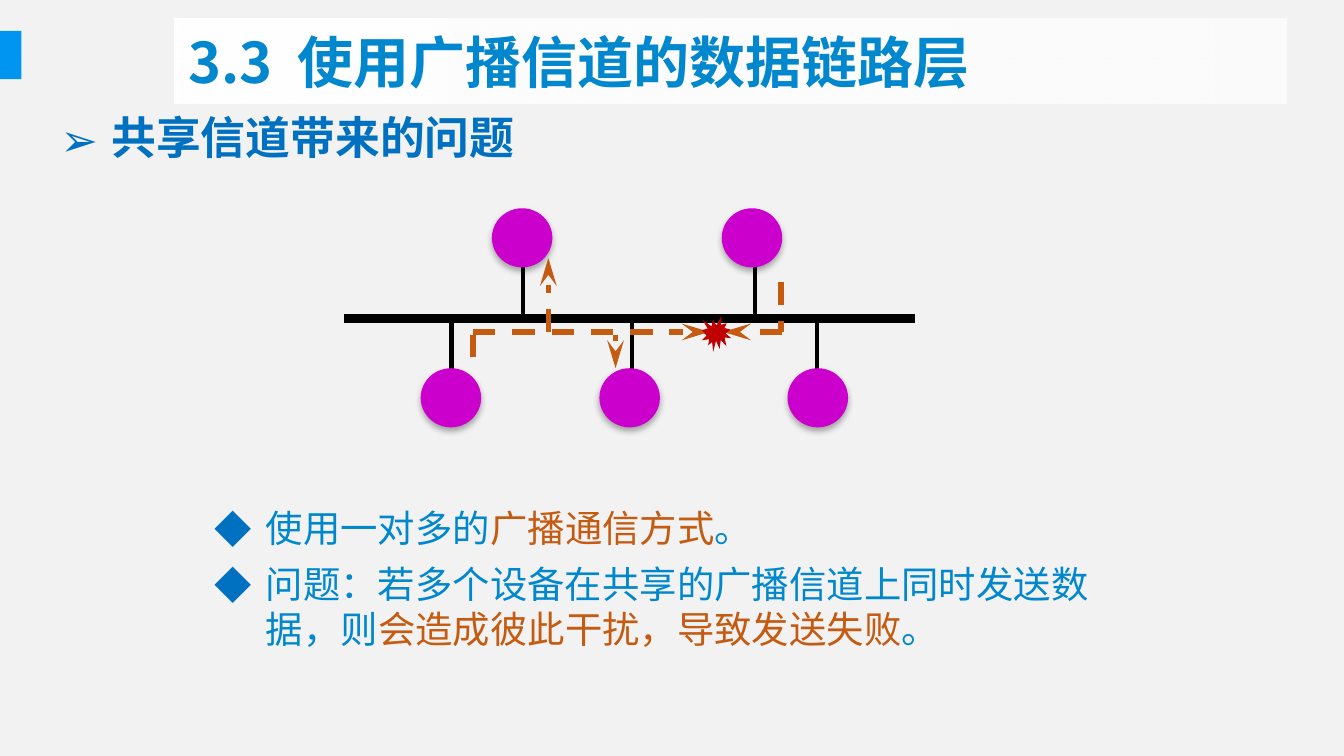
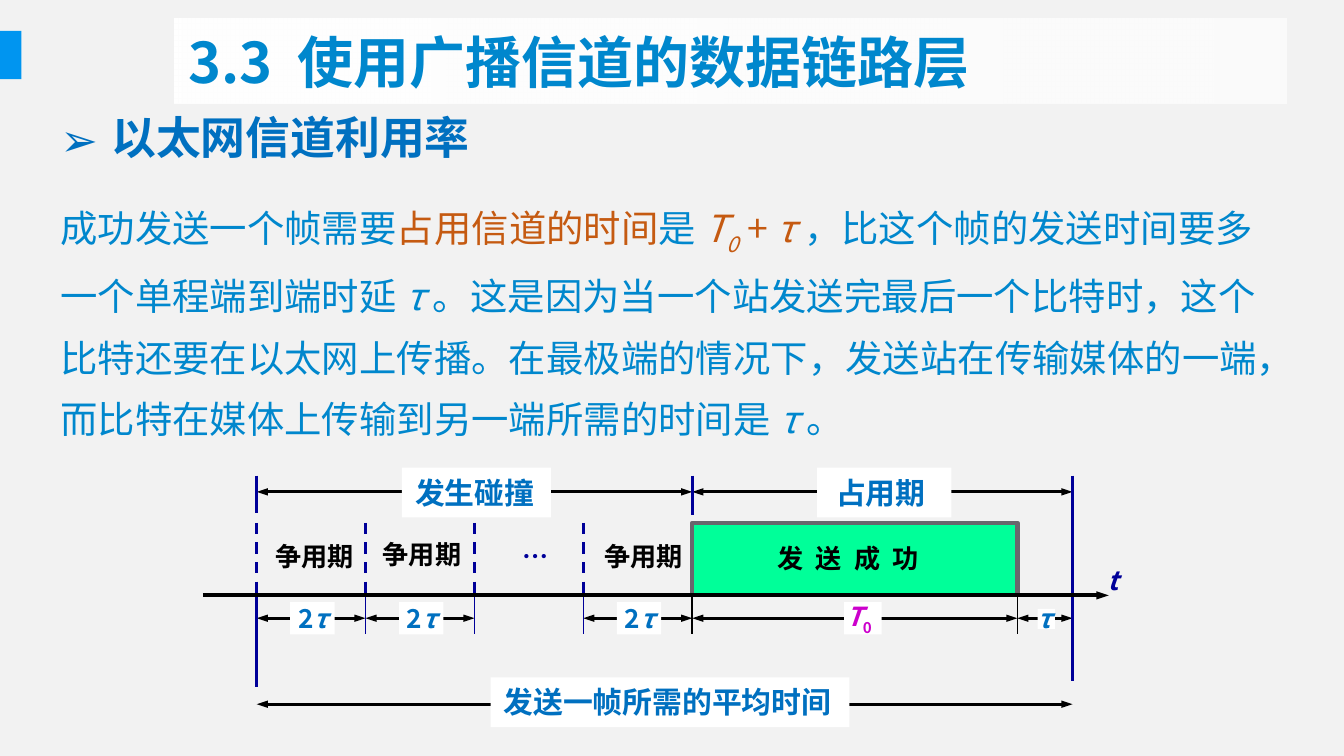
from typing import NamedTuple, Optional

from lxml.etree import SubElement
from pptx import Presentation
from pptx.dml.color import RGBColor
from pptx.enum.dml import MSO_LINE
from pptx.enum.lang import MSO_LANGUAGE_ID
from pptx.enum.shapes import MSO_CONNECTOR, MSO_SHAPE
from pptx.enum.text import MSO_ANCHOR, MSO_AUTO_SIZE, PP_ALIGN
from pptx.oxml.ns import qn
from pptx.util import Emu, Pt

PX = 9144  # 100 px to the inch
WIDE = 1000 * PX
FONT = "Noto Sans CJK SC"
HUES = {
    "back": "F2F2F2", "bar": "0095F0", "text": "0087CD", "head": "0070C0",
    "warm": "C55A11", "node": "CC00CC", "burst": "C00000", "navy": "000099",
    "sent": "00FF99", "edge": "69676D", "black": "000000", "white": "FFFFFF",
}
TIPS = {"stealth": ("med", "lg"), "triangle": ("sm", "med")}  # width, length


class Box(NamedTuple):
    x: int
    y: int
    w: int
    h: int


class Run(NamedTuple):
    text: str
    hue: str = "text"
    ital: bool = False
    base: int = 0
    track: int = 0


class Style(NamedTuple):
    size: int
    bold: bool = True
    wrap: bool = True
    fill: Optional[str] = None
    bullet: Optional[str] = None
    lead: Optional[int] = None
    gap: int = 0
    align: PP_ALIGN = PP_ALIGN.LEFT


class Wire(NamedTuple):
    x1: int
    y1: int
    x2: int
    y2: int
    hue: str = "black"
    width: float = 1.5
    dash: bool = False
    head: Optional[str] = None
    tail: Optional[str] = None


class Label(NamedTuple):
    box: Box
    runs: list[Run]
    style: Style


def color(name: str) -> RGBColor:
    return RGBColor.from_string(HUES[name])


def place(box: Box) -> list[Emu]:
    return [Emu(n * PX) for n in box]


# Text
def write(para, runs: list[Run], style: Style) -> None:
    para.alignment = style.align
    if style.bullet:
        prop = para._p.get_or_add_pPr()
        prop.set("marL", str(38 * PX))
        prop.set("indent", str(-38 * PX))
        tint = SubElement(prop, qn("a:buClr"))
        SubElement(tint, qn("a:srgbClr")).set("val", HUES["head"])
        SubElement(prop, qn("a:buFont")).set("typeface", FONT)
        SubElement(prop, qn("a:buChar")).set("char", style.bullet)
    if style.lead:
        para.line_spacing = Pt(style.lead)
    for part in runs:
        run = para.add_run()
        run.text = part.text
        font = run.font
        font.size, font.bold, font.italic = Pt(style.size), style.bold, part.ital
        font.color.rgb = color(part.hue)
        font.language_id = MSO_LANGUAGE_ID.SIMPLIFIED_CHINESE
        font.name = FONT
        prop = run._r.get_or_add_rPr()
        east = SubElement(prop, qn("a:ea"))
        east.set("typeface", FONT)
        prop.find(qn("a:latin")).addnext(east)
        if part.base:
            prop.set("baseline", str(part.base * 1000))
        if part.track:
            prop.set("spc", str(part.track))


def add_text(slide, box: Box, paras: list[list[Run]], style: Style) -> None:
    shape = slide.shapes.add_textbox(*place(box))
    if style.fill:
        shape.fill.solid()
        shape.fill.fore_color.rgb = color(style.fill)
    frame = shape.text_frame
    frame.word_wrap = style.wrap
    frame.auto_size = MSO_AUTO_SIZE.SHAPE_TO_FIT_TEXT
    for i, runs in enumerate(paras):
        para = frame.add_paragraph() if i else frame.paragraphs[0]
        write(para, runs, style)
        if i and style.gap:
            para.space_before = Pt(style.gap)


# Shapes and lines
def add_form(slide, kind: MSO_SHAPE, box: Box, hue: str):
    shape = slide.shapes.add_shape(kind, *place(box))
    shape.shadow.inherit = False
    shape.fill.solid()
    shape.fill.fore_color.rgb = color(hue)
    shape.line.fill.background()
    return shape


def add_node(slide, x: int, y: int) -> None:
    node = add_form(slide, MSO_SHAPE.OVAL, Box(x, y, 45, 44), "node")
    glow = SubElement(node._element.spPr.find(qn("a:effectLst")), qn("a:outerShdw"))
    for key, val in {"blurRad": 44450, "dist": 27940, "dir": 5400000}.items():
        glow.set(key, str(val))
    tint = SubElement(glow, qn("a:srgbClr"))
    tint.set("val", HUES["black"])
    SubElement(tint, qn("a:alpha")).set("val", "32000")


def add_wire(slide, wire: Wire) -> None:
    ends = [Emu(n * PX) for n in wire[:4]]
    link = slide.shapes.add_connector(MSO_CONNECTOR.STRAIGHT, *ends)
    link.line.color.rgb = color(wire.hue)
    link.line.width = Pt(wire.width)
    if wire.dash:
        link.line.dash_style = MSO_LINE.DASH
    prop = link._element.spPr
    for tag, kind in (("a:headEnd", wire.head), ("a:tailEnd", wire.tail)):
        if kind:
            tip = SubElement(prop.find(qn("a:ln")), qn(tag))
            for key, val in zip(("type", "w", "len"), (kind, *TIPS[kind])):
                tip.set(key, val)
    SubElement(prop, qn("a:effectLst"))


def add_span(slide, x1: int, x2: int, y: int) -> None:
    add_wire(slide, Wire(x1, y, x2, y, head="triangle", tail="triangle"))


# Shared frame of both slides
def add_page(deck, topic: str):
    slide = deck.slides.add_slide(deck.slide_layouts[5])
    slide.background.fill.solid()
    slide.background.fill.fore_color.rgb = color("back")
    add_form(slide, MSO_SHAPE.RECTANGLE, Box(-1, 23, 17, 36), "bar")

    title = slide.shapes.title
    title.left, title.top, title.width, title.height = place(Box(130, 14, 827, 63))
    title.fill.gradient()
    title.fill.gradient_angle = 0
    for stop in title.fill.gradient_stops:
        stop.color.rgb = color("white")
    last = title._element.spPr.findall(".//" + qn("a:srgbClr"))[-1]
    SubElement(last, qn("a:alpha")).set("val", "67000")
    title.text_frame.vertical_anchor = MSO_ANCHOR.MIDDLE
    name = [Run("3.3"), Run(" ", track=670), Run("使用广播信道的数据链路层")]
    write(title.text_frame.paragraphs[0], name, Style(30))

    add_text(slide, Box(35, 77, 921, 50), [[Run(topic, "head")]],
             Style(24, bullet="➢"))
    return slide


def draw_share(deck) -> None:
    slide = add_page(deck, "共享信道带来的问题")

    # Bus with its stations
    add_wire(slide, Wire(256, 237, 681, 237, width=4.5))
    for x, top in ((389, 193), (562, 193), (470, 238), (608, 238), (336, 238)):
        add_wire(slide, Wire(x, top, x, top + 45, width=2.25))
    for x, y in ((366, 155), (537, 155), (313, 274), (446, 274), (586, 274)):
        add_node(slide, x, y)

    # Points below the bus
    points = [
        [Run("使用一对多的"), Run("广播通信方式", "warm"), Run("。")],
        [Run("问题：若多个设备在共享的广播信道上同时发送数据，则"),
         Run("会造成彼此干扰，导致发送失败", "warm"), Run("。")],
    ]
    add_text(slide, Box(150, 371, 693, 119), points,
             Style(20, bold=False, bullet="◆", lead=24, gap=6))

    # Signals and their collision
    for x1, y1, x2, y2, tail in (
        (582, 247, 538, 247, "stealth"), (581, 210, 581, 247, None),
        (352, 247, 528, 247, "stealth"), (408, 247, 408, 192, "stealth"),
        (458, 249, 458, 274, "stealth"), (352, 249, 352, 274, None),
    ):
        add_wire(slide, Wire(x1, y1, x2, y2, "warm", 3, True, tail=tail))
    add_form(slide, MSO_SHAPE.EXPLOSION1, Box(522, 235, 22, 27), "burst")


def draw_usage(deck) -> None:
    slide = add_page(deck, "以太网信道利用率")
    tau = Run("τ ", ital=True)
    body = [
        Run("成功发送一个帧需要"), Run("占用信道的时间", "warm"), Run("是 "),
        Run("T", "warm", True), Run("0", "warm", True, -25), Run(" + ", "warm"),
        Run("τ ", "warm", True),
        Run("，比这个帧的发送时间要多一个单程端到端时延 "), tau,
        Run("。这是因为当一个站发送完最后一个比特时，这个比特还要在以太网上传播。"
            "在最极端的情况下，发送站在传输媒体的一端，"
            "而比特在媒体上传输到另一端所需的时间是 "),
        Run("τ", ital=True), Run(" 。"),
    ]
    add_text(slide, Box(35, 140, 921, 190), [body], Style(20, bold=False, lead=33))

    # Time marks: four slots, then the frame, then the delay
    step, axis = 81, 443
    marks = [191 + step * i for i in range(5)]
    first, sent = marks[0], marks[-1]
    done, last = 757, 798
    used = [marks[0], marks[1], marks[3]]

    # Spans
    add_span(slide, first, last, 524)
    add_span(slide, first, sent, 366)
    add_span(slide, sent, last, 366)
    for x in used:
        add_span(slide, x, x + step, 460)
    add_span(slide, sent, done, 460)
    add_span(slide, done, last, 460)

    # Frame sent
    pen = slide.shapes.build_freeform(sent, axis, scale=PX)
    pen.add_line_segments([(sent, 389), (done, 389), (done, axis)], close=False)
    frame = pen.convert_to_shape()
    frame.shadow.inherit = False
    frame.fill.solid()
    frame.fill.fore_color.rgb = color("sent")
    frame.line.color.rgb = color("edge")
    frame.line.width = Pt(2.25)

    # Upright marks
    for x in marks[:4]:
        add_wire(slide, Wire(x, 389, x, axis, "navy", dash=True))
    for x in marks[1:] + [done]:
        hue = "navy" if x < sent else "black"
        add_wire(slide, Wire(x, axis, x, 472, hue, 0.75))
    for x, top, end in ((first, 354, 382), (first, 441, 511), (sent, 354, 383),
                        (last, 354, axis), (last, axis, 507)):
        add_wire(slide, Wire(x, top, x, end, "navy"))
    add_wire(slide, Wire(151, axis, 825, axis, width=2.25, tail="triangle"))

    # White patches behind the symbols
    patches = [Box(x + 25, 448, 33, 24) for x in used]
    for box in patches + [Box(628, 448, 28, 24), Box(772, 453, 13, 15)]:
        add_form(slide, MSO_SHAPE.RECTANGLE, box, "white")

    # Labels
    small, plate = Style(14, wrap=False), Style(16, fill="white")
    slot = [Run("争用期", "black")]
    twice = [Run("2", "head"), Run("τ", "head", True)]
    labels = [
        Label(Box(569, 399, 139, 34), [Run("发 送 成 功", "black", track=160)], small),
        Label(Box(195, 397, 85, 34), slot, small),
        Label(Box(275, 396, 85, 34), slot, small),
        Label(Box(440, 397, 85, 34), slot, small),
        Label(Box(379, 397, 39, 34), [Run("…", "navy")], small),
        Label(Box(620, 442, 41, 34),
              [Run("T", "node", True), Run("0", "node", base=-25)], small),
        Label(Box(762, 443, 29, 34), [Run("τ", "head", True)], small),
        Label(Box(814, 415, 28, 34), [Run("t", "navy", True)], small),
        Label(Box(608, 348, 100, 37), [Run("占用期 ", "head")],
              plate._replace(align=PP_ALIGN.CENTER)),
        Label(Box(299, 348, 111, 37), [Run("发生碰撞", "head")], plate),
        Label(Box(365, 504, 267, 37), [Run("发送一帧所需的平均时间", "head")],
              plate._replace(wrap=False)),
    ]
    labels += [Label(Box(x + 21, 443, 47, 34), twice, Style(14)) for x in used]
    for label in labels:
        add_text(slide, label.box, [label.runs], label.style)


def main() -> None:
    deck = Presentation()
    deck.slide_width, deck.slide_height = Emu(WIDE), Emu(WIDE * 9 // 16)
    draw_share(deck)
    draw_usage(deck)
    deck.save("out.pptx")


if __name__ == "__main__":
    main()
